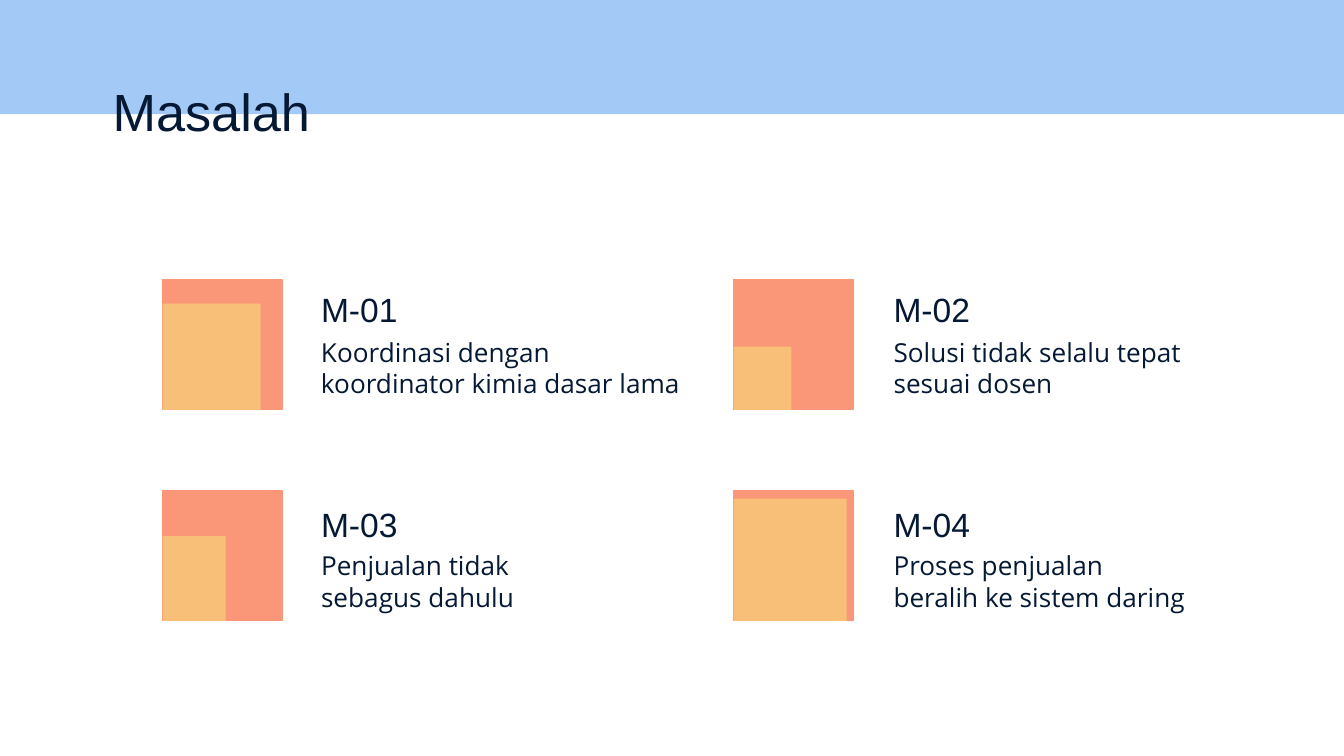
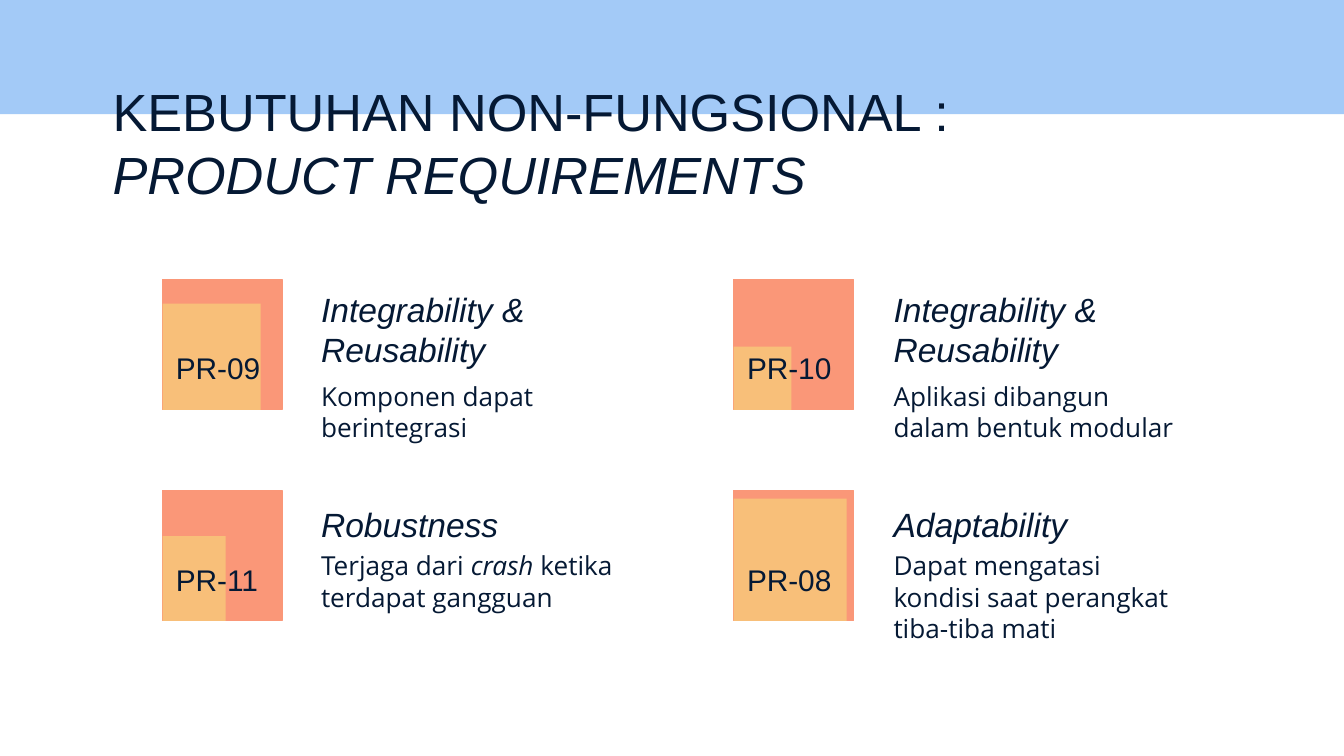
from pptx import Presentation
from pptx.dml.color import RGBColor
from pptx.enum.shapes import MSO_SHAPE as Shape
from pptx.util import Inches, Pt

INK, SKY, CORAL, AMBER = "051934", "A3CAF7", "FA9778", "F8BF79"
HEAD, BODY = "Arial", "Open Sans"
COLS, ROWS = (1.21, 5.46), (2.08, 3.65)
TILE = (0.89, 0.97)
FILLS = ((0.73, 0.79), (0.43, 0.47), (0.47, 0.63), (0.84, 0.91))
TEXTS = (2.29, 6.55)
HEADS = (2.05, 3.65)
CODES = (2.5, 4.08)

ISSUES = (
    ("M-01", "Koordinasi dengan koordinator kimia dasar lama", 2.4, 2.94),
    ("M-02", "Solusi tidak selalu tepat sesuai dosen", 2.4, 2.39),
    ("M-03", "Penjualan tidak sebagus dahulu", 3.99, 2.39),
    ("M-04", "Proses penjualan beralih ke sistem daring", 3.99, 2.39),
)
NEEDS = (
    ("PR-09", "Integrability & Reusability", "Komponen dapat berintegrasi", 2.73),
    ("PR-10", "Integrability & Reusability",
     "Aplikasi dibangun dalam bentuk modular", 2.73),
    ("PR-11", "Robustness",
     "Terjaga dari |crash |ketika terdapat gangguan", 3.99),
    ("PR-08", "Adaptability",
     "Dapat mengatasi kondisi saat perangkat tiba-tiba mati", 3.99),
)


def paint(color):
    """Turn a hex string into a colour."""
    return RGBColor.from_string(color)


def add_rect(slide, x, y, w, h, color, edge=False):
    """Draw a plain rectangle, with an edge of its own colour if asked."""
    rect = slide.shapes.add_shape(
        Shape.RECTANGLE, Inches(x), Inches(y), Inches(w), Inches(h))
    rect.shadow.inherit = False
    rect.fill.solid()
    rect.fill.fore_color.rgb = paint(color)
    if edge:
        rect.line.color.rgb = paint(color)
        rect.line.width = Pt(0.75)
    else:
        rect.line.fill.background()


def add_text(slide, text, x, y, w, h, size, font=HEAD):
    """Write text in a box; every second part between bars is italic."""
    frame = slide.shapes.add_textbox(
        Inches(x), Inches(y), Inches(w), Inches(h)).text_frame
    frame.word_wrap = True
    frame.margin_left = frame.margin_right = Inches(0.1)
    frame.margin_top = frame.margin_bottom = Inches(0.1)
    para = frame.paragraphs[0]
    for i, part in enumerate(text.split("|")):
        if part:
            run = para.add_run()
            run.text = part
            run.font.name = font
            run.font.size = Pt(size)
            run.font.italic = i % 2 == 1
            run.font.color.rgb = paint(INK)


def add_head(slide, text, x, y, size=18):
    """Write a small heading or a tile code."""
    add_text(slide, text, x, y, 2.39, 0.63, size)


def add_note(slide, text, x, y, w=2.39):
    """Write the sentence under a heading."""
    add_text(slide, text, x, y, w, 0.59, 14, BODY)


def add_tile(slide, i):
    """Draw a tile with its inner block in the lower left corner."""
    x, y = COLS[i % 2], ROWS[i // 2]
    w, h = FILLS[i]
    add_rect(slide, x, y, *TILE, CORAL, edge=True)
    add_rect(slide, x, y + TILE[1] - h, w, h, AMBER)


def add_page(deck, title):
    """Start a slide with the band, the title and the four tiles."""
    slide = deck.slides.add_slide(deck.slide_layouts[6])
    add_rect(slide, 0, 0, 10, 0.85, SKY)
    add_text(slide, title, 0.74, 0.49, 7.73, 0.63, 28)
    for i in range(len(FILLS)):
        add_tile(slide, i)
    return slide


def add_issues(deck):
    """Build the slide of problems."""
    slide = add_page(deck, "Masalah")
    for i, (code, note, top, wide) in enumerate(ISSUES):
        x = TEXTS[i % 2]
        add_head(slide, code, x, HEADS[i // 2])
        add_note(slide, note, x, top, wide)


def add_needs(deck):
    """Build the slide of product requirements."""
    slide = add_page(
        deck, "KEBUTUHAN NON-FUNGSIONAL : |PRODUCT REQUIREMENTS")
    for i, (code, name, note, top) in enumerate(NEEDS):
        x = TEXTS[i % 2]
        add_head(slide, f"|{name}", x, HEADS[i // 2])
        add_note(slide, note, x, top)
        add_head(slide, code, COLS[i % 2], CODES[i // 2], 16)


def main():
    """Build the deck and save it."""
    deck = Presentation()
    deck.slide_width = Inches(10)
    deck.slide_height = deck.slide_width * 9 // 16
    add_issues(deck)
    add_needs(deck)
    deck.save("out.pptx")


if __name__ == "__main__":
    main()
